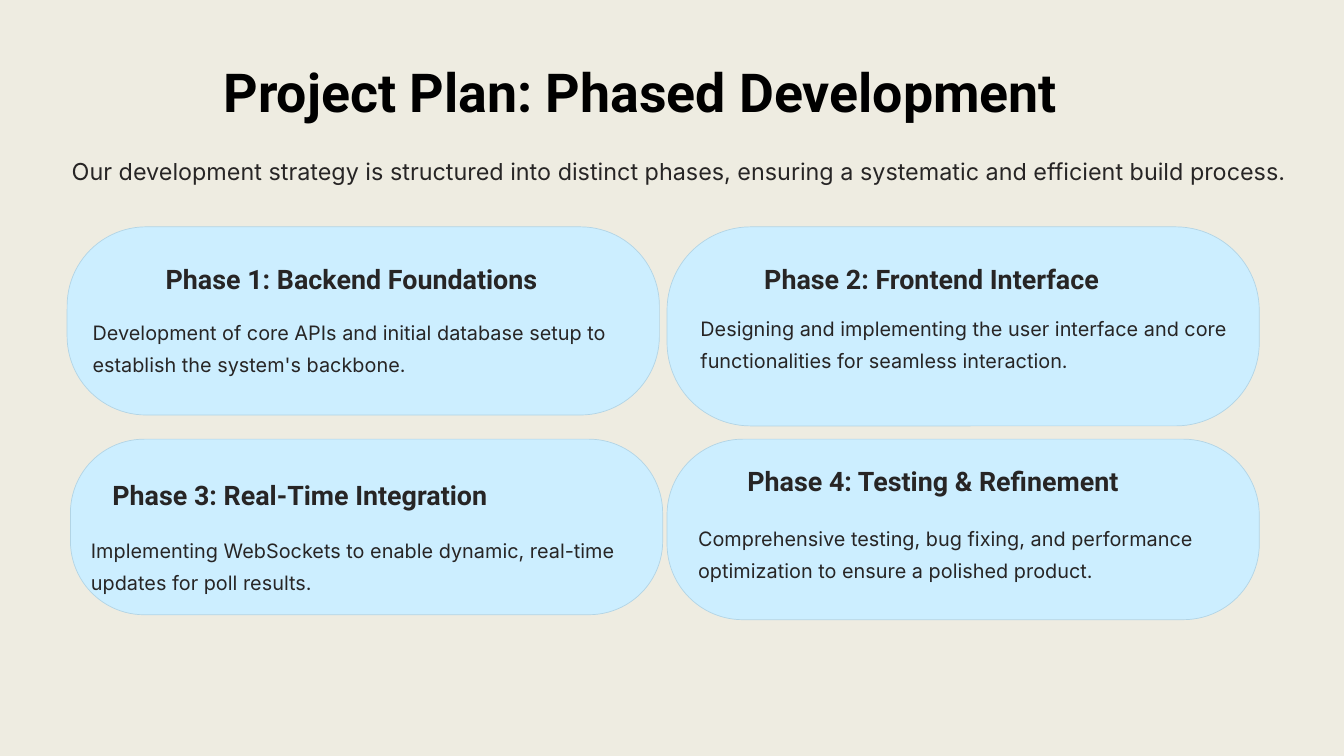
"""Build the slide that presents the four development phases of the project plan."""
from pptx import Presentation
from pptx.dml.color import RGBColor
from pptx.enum.shapes import MSO_SHAPE
from pptx.util import Cm, Pt

ROUNDED = MSO_SHAPE.ROUNDED_RECTANGLE
BACKGROUND = RGBColor(0xEE, 0xEC, 0xE1)
BLACK = RGBColor(0x00, 0x00, 0x00)
INK = RGBColor(0x27, 0x25, 0x25)
CARD_FILL = RGBColor(0xCC, 0xEE, 0xFF)
CARD_LINE = RGBColor(0xB2, 0xD4, 0xE5)
HEADING_FONT = "Roboto"
BODY_FONT = "Inter"
CARD_WIDTH = 17.91
HEADING_WIDTH = 11.8
BODY_WIDTH = 16.69

presentation = Presentation()
presentation.slide_width = Cm(40.64)
presentation.slide_height = Cm(22.86)
slide = presentation.slides.add_slide(presentation.slide_layouts[6])
slide.background.fill.solid()
slide.background.fill.fore_color.rgb = BACKGROUND


def add_text(text, left, top, width, height, size, line_height,
             font=BODY_FONT, color=INK, bold=False):
    """Place one paragraph, with its box measured in centimetres."""
    box = slide.shapes.add_textbox(Cm(left), Cm(top), Cm(width), Cm(height))
    frame = box.text_frame
    frame.margin_left = frame.margin_right = 0
    frame.margin_top = frame.margin_bottom = 0
    frame.word_wrap = True
    paragraph = frame.paragraphs[0]
    paragraph.text = text
    paragraph.line_spacing = Pt(line_height)
    style = paragraph.runs[0].font
    style.name = font
    style.size = Pt(size)
    style.bold = bold
    style.color.rgb = color


add_text("Project Plan: Phased Development", 6.76, 1.7, 26, 2.03, 46, 57.5,
         font=HEADING_FONT, color=BLACK, bold=True)
add_text("Our development strategy is structured into distinct phases, "
         "ensuring a systematic and efficient build process.",
         2.17, 4.62, 37.4, 0.99, 20, 28)

phases = [
    ((2.03, 6.86, 5.69), "Phase 1: Backend Foundations", (5.01, 7.9),
     "Development of core APIs and initial database setup to establish "
     "the system's backbone.", (2.8, 9.42)),
    ((20.17, 6.86, 6.02), "Phase 2: Frontend Interface", (23.11, 7.9),
     "Designing and implementing the user interface and core functionalities "
     "for seamless interaction.", (21.18, 9.3)),
    ((2.13, 13.28, 5.31), "Phase 3: Real-Time Integration", (3.4, 14.45),
     "Implementing WebSockets to enable dynamic, real-time updates "
     "for poll results.", (2.75, 16.01)),
    ((20.17, 13.28, 5.46), "Phase 4: Testing & Refinement", (22.6, 14.02),
     "Comprehensive testing, bug fixing, and performance optimization "
     "to ensure a polished product.", (21.11, 15.65)),
]

for (left, top, height), heading, heading_corner, body, body_corner in phases:
    card = slide.shapes.add_shape(ROUNDED, Cm(left), Cm(top), Cm(CARD_WIDTH), Cm(height))
    card.adjustments[0] = 0.42
    card.shadow.inherit = False
    card.fill.solid()
    card.fill.fore_color.rgb = CARD_FILL
    card.line.color.rgb = CARD_LINE
    card.line.width = Pt(0.6)
    add_text(heading, *heading_corner, HEADING_WIDTH, 1.02, 23, 28.5,
             font=HEADING_FONT, bold=True)
    add_text(body, *body_corner, BODY_WIDTH, 1.98, 17, 28)

presentation.save("out.pptx")
